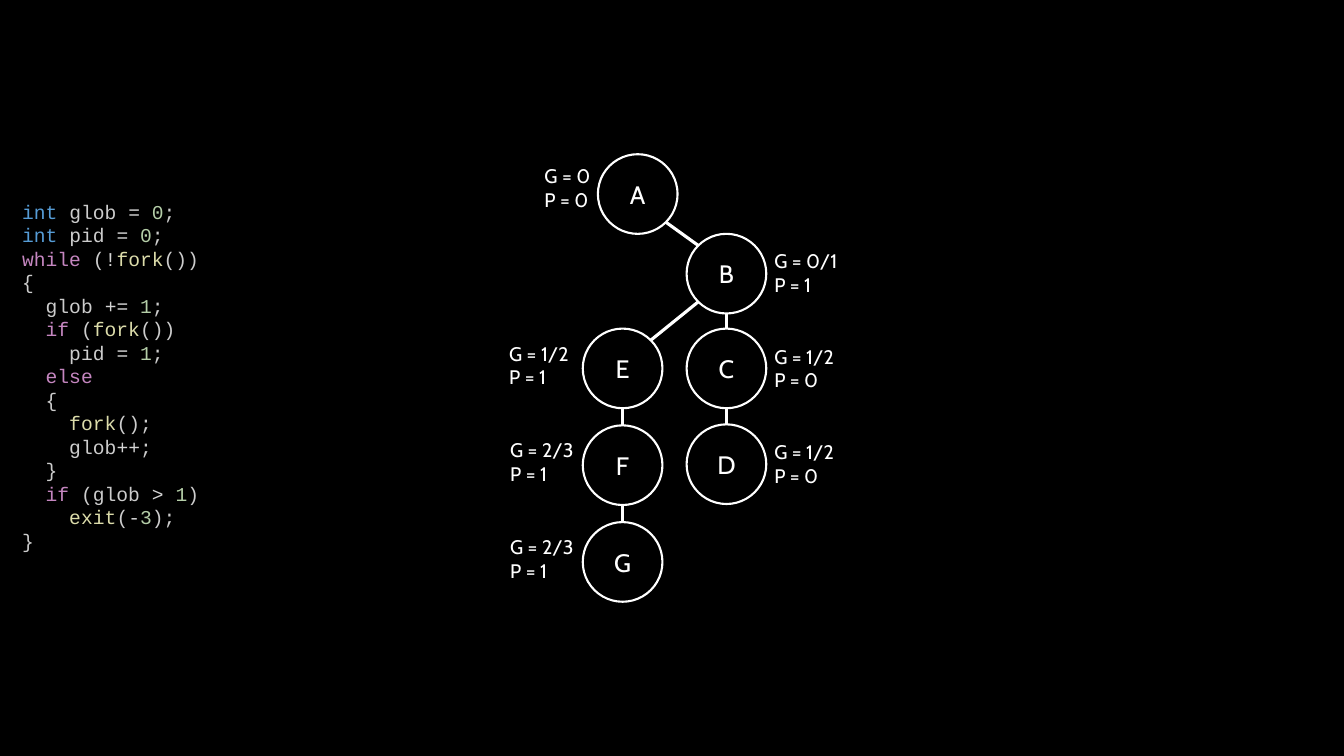
import pptx
import pptx.util
import pptx.dml.color
import pptx.enum.shapes
import pptx.enum.text
import lxml.etree

Inches = pptx.util.Inches
Pt = pptx.util.Pt
ALIGN = pptx.enum.text.PP_ALIGN
rgb = pptx.dml.color.RGBColor.from_string

THEME = {
    "back": "000000", "ink": "FFFFFF",
    "plain": "CCCCCC", "type": "569CD6", "key": "C586C0",
    "call": "DCDCAA", "num": "B5CEA8", "sign": "D4D4D4",
    "font": "Cabin", "mono": "Courier New",
    "node": 18, "small": 14, "ring": 1.5, "edge": 2.25,
}

# Bars split each line into tokens; the table below gives their colours.
CODE = """\
int| glob |= |0|;
int| pid |= |0|;
while| (|!|fork|())
{
  glob |+= |1|;
  if| (|fork|())
    pid |= |1|;
  else
  {
    fork|();
    glob|++|;
  }
  if| (glob |> |1|)
    exit|(|-|3|);
}"""
KINDS = {
    "type": ["int"], "key": ["while", "if", "else"], "call": ["fork", "exit"],
    "num": ["0", "1", "3"], "sign": ["=", "+=", "!", "++", ">", "-"],
}
KIND = {word: kind for kind, words in KINDS.items() for word in words}

# name, left, top, label left, label top, label width, G, P, parent
SIZE = 0.79
NODES = [
    ("A", 5.93, 1.53, 5.35, 1.58, 0.59, "0", "0", None),
    ("B", 6.81, 2.32, 7.63, 2.42, 0.76, "0/1", "1", "A"),
    ("C", 6.81, 3.26, 7.63, 3.37, 0.76, "1/2", "0", "B"),
    ("D", 6.81, 4.21, 7.63, 4.32, 0.76, "1/2", "0", "C"),
    ("E", 5.78, 3.26, 5.00, 3.34, 0.76, "1/2", "1", "B"),
    ("F", 5.78, 4.22, 5.01, 4.30, 0.76, "2/3", "1", "E"),
    ("G", 5.78, 5.18, 5.01, 5.26, 0.76, "2/3", "1", "F"),
]


def style(para, face, size, color):
    para.font.name = face
    para.font.size = Pt(size)
    para.font.color.rgb = rgb(color)


def add_box(left, top, width, height, wrap):
    """Add a text box with thin margins and return its text frame."""
    box = slide.shapes.add_textbox(
        Inches(left), Inches(top), Inches(width), Inches(height))
    frame = box.text_frame
    frame.margin_left = frame.margin_right = Inches(0.05)
    frame.margin_top = frame.margin_bottom = Inches(0.05)
    frame.word_wrap = wrap
    frame.auto_size = pptx.enum.text.MSO_AUTO_SIZE.SHAPE_TO_FIT_TEXT
    return frame


deck = pptx.Presentation()
deck.slide_width = Inches(13.33)
deck.slide_height = Inches(7.5)
slide = deck.slides.add_slide(deck.slide_layouts[6])
slide.background.fill.solid()
slide.background.fill.fore_color.rgb = rgb(THEME["back"])

# Code listing
frame = add_box(0.17, 1.93, 3.06, 3.64, True)
for row, line in enumerate(CODE.split("\n")):
    para = frame.add_paragraph() if row else frame.paragraphs[0]
    style(para, THEME["mono"], THEME["small"], THEME["plain"])
    for token in line.split("|"):
        run = para.add_run()
        run.text = token
        kind = KIND.get(token.strip(), "plain")
        run.font.color.rgb = rgb(THEME[kind])

# Process tree
half = SIZE / 2
slant = half * 0.5 ** 0.5
spots = {}
for name, left, top, tagx, tagy, wide, glob, pid, parent in NODES:
    ring = slide.shapes.add_shape(
        pptx.enum.shapes.MSO_SHAPE.OVAL,
        Inches(left), Inches(top), Inches(SIZE), Inches(SIZE))
    ring.shadow.inherit = False
    ring.fill.background()
    ring.line.color.rgb = rgb(THEME["ink"])
    ring.line.width = Pt(THEME["ring"])
    frame = ring.text_frame
    frame.vertical_anchor = pptx.enum.text.MSO_ANCHOR.MIDDLE
    frame.margin_left = frame.margin_right = 0
    frame.margin_top = frame.margin_bottom = 0
    frame.text = name
    frame.paragraphs[0].alignment = ALIGN.CENTER
    style(frame.paragraphs[0], THEME["font"], THEME["node"], THEME["ink"])

    frame = add_box(tagx, tagy, wide, 0.57, False)
    frame.text = f"G = {glob}\nP = {pid}"
    for para in frame.paragraphs:
        para.alignment = ALIGN.LEFT
        style(para, THEME["font"], THEME["small"], THEME["ink"])

    x, y = left + half, top + half
    spots[name] = x, y
    if parent:
        px, py = spots[parent]
        # Straight down within a column, else between the 45-degree points
        dx, dy = (0, half) if x == px else (slant, slant)
        if x < px:
            dx = -dx
        edge = slide.shapes.add_connector(
            pptx.enum.shapes.MSO_CONNECTOR.STRAIGHT,
            Inches(x - dx), Inches(y - dy), Inches(px + dx), Inches(py + dy))
        if x == px:
            edge.begin_connect(ring, 0)
        edge.line.color.rgb = rgb(THEME["ink"])
        edge.line.width = Pt(THEME["edge"])
        lxml.etree.SubElement(
            edge.element.spPr, pptx.oxml.ns.qn("a:effectLst"))

deck.save("out.pptx")
